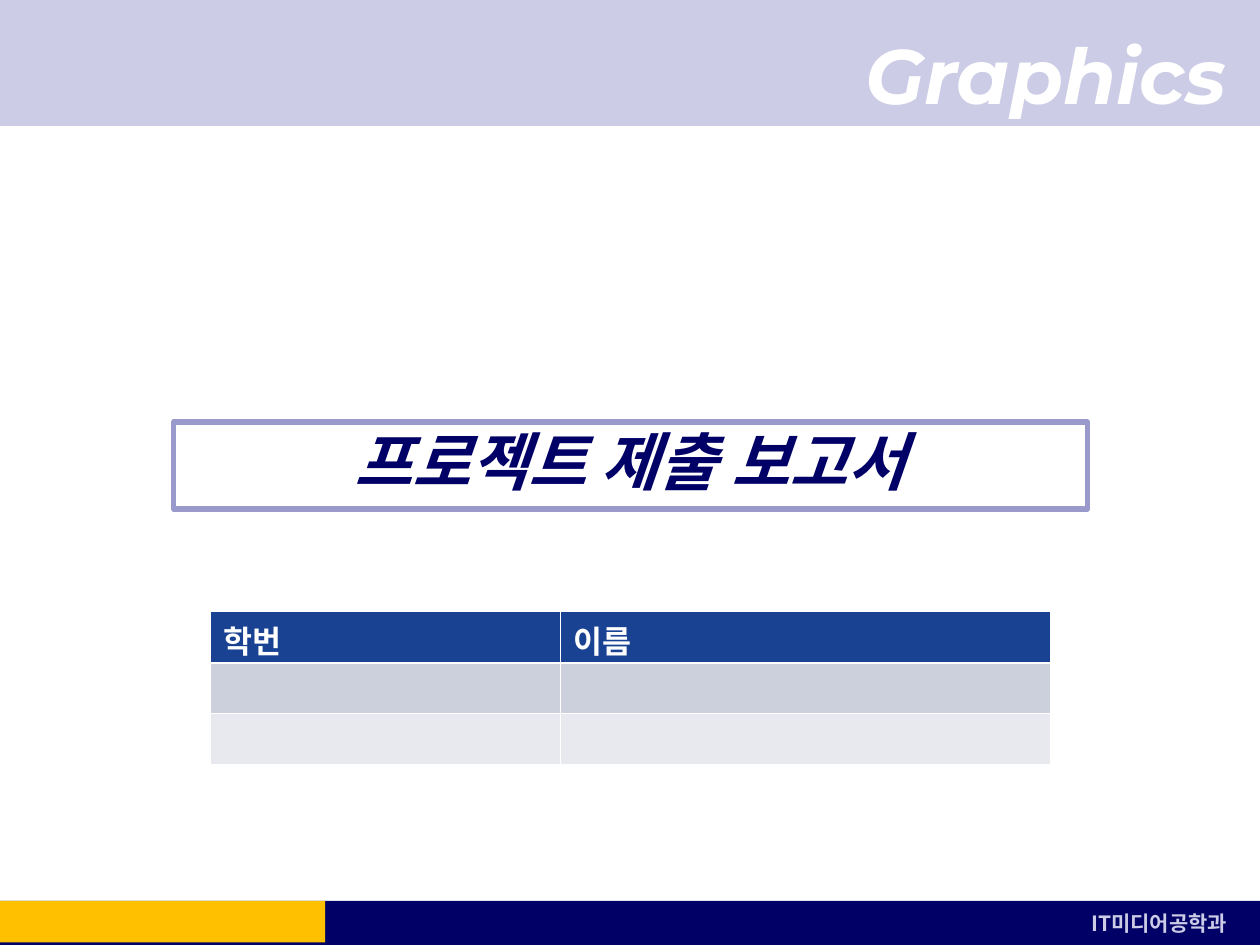
from dataclasses import dataclass
from typing import Optional

import pptx
import pptx.dml.color
import pptx.enum.shapes
import pptx.enum.text
import pptx.oxml
import pptx.oxml.ns
import pptx.util

Pt = pptx.util.Pt
Align = pptx.enum.text.PP_ALIGN
Anchor = pptx.enum.text.MSO_ANCHOR

COLORS = {
    "navy": "000066",
    "lavender": "CCCCE6",
    "violet": "9999CC",
    "amber": "FFC000",
    "white": "FFFFFF",
    "header": "194293",
    "band_dark": "CCCFDC",
    "band_light": "E7E9EE",
}
KOREAN_FONT = "Noto Sans CJK KR"
THIN, THICK = 0.45, 1.47


@dataclass
class Box:
    left: float
    top: float
    width: float
    height: float

    def lengths(self) -> tuple:
        return Pt(self.left), Pt(self.top), Pt(self.width), Pt(self.height)


@dataclass
class Bar:
    box: Box
    fill: Optional[str] = None
    line: Optional[str] = None


@dataclass
class Style:
    size: float
    color: str
    font: str = KOREAN_FONT
    italic: bool = False
    align: Align = Align.LEFT
    space_before: float = 0


@dataclass
class Label:
    box: Box
    text: str
    style: Style
    anchor: Anchor = Anchor.TOP


@dataclass
class Row:
    height: float
    fill: str
    top_line: float
    bottom_line: float
    texts: tuple = ("", "")


BARS = [
    Bar(Box(99.36, 241.2, 522, 49.68), line="violet"),
    Bar(Box(0, 0, 720, 72), fill="lavender"),
    Bar(Box(0, 514.8, 720, 25.2), fill="navy"),
    Bar(Box(0, 514.8, 185.76, 23.76), fill="amber"),
]
LABELS = [
    Label(Box(144, 12.24, 563.76, 72), "Graphics",
          Style(44, "white", "Montserrat", True, Align.RIGHT, 11)),
    Label(Box(605.52, 516.96, 113.76, 23.76), "IT미디어공학과",
          Style(12, "lavender", align=Align.CENTER, space_before=3)),
    Label(Box(126, 211.68, 468, 102.24), "프로젝트 제출 보고서",
          Style(36, "navy", italic=True, align=Align.CENTER), Anchor.MIDDLE),
]
TABLE_BOX = Box(120.24, 349.2, 480.24, 87.84)
COLUMN_WIDTHS = (200.16, 280.08)
ROWS = [
    Row(29.52, "header", THIN, THICK, ("학번", "이름")),
    Row(28.8, "band_dark", THICK, THIN),
    Row(29.52, "band_light", THIN, THIN),
]
HEADER_STYLE = Style(18, "white", "Arial")


def rgb(name: str) -> pptx.dml.color.RGBColor:
    return pptx.dml.color.RGBColor.from_string(COLORS[name])


def write_text(frame, text: str, style: Style) -> None:
    para = frame.paragraphs[0]
    para.text = text
    para.alignment = style.align
    para.space_before = Pt(style.space_before)
    font = para.font
    font.size, font.name = Pt(style.size), style.font
    font.bold, font.italic = True, style.italic
    font.color.rgb = rgb(style.color)
    # Hangul takes its typeface from the East Asian font slot.
    properties = para._p.pPr.find(pptx.oxml.ns.qn("a:defRPr"))
    properties.append(pptx.oxml.parse_xml(
        f'<a:ea {pptx.oxml.ns.nsdecls("a")} typeface="{KOREAN_FONT}"/>'))


def draw_bar(slide, bar: Bar) -> None:
    shape = slide.shapes.add_shape(
        pptx.enum.shapes.MSO_SHAPE.RECTANGLE, *bar.box.lengths())
    shape.shadow.inherit = False
    if bar.fill:
        shape.fill.solid()
        shape.fill.fore_color.rgb = rgb(bar.fill)
    else:
        shape.fill.background()
    if bar.line:
        shape.line.color.rgb = rgb(bar.line)
        shape.line.width = Pt(3)
    else:
        shape.line.fill.background()


def draw_label(slide, label: Label) -> None:
    frame = slide.shapes.add_textbox(*label.box.lengths()).text_frame
    frame.word_wrap = True
    frame.vertical_anchor = label.anchor
    write_text(frame, label.text, label.style)


def set_borders(cell, top: float, bottom: float) -> None:
    """Give the cell white borders, with the sides always thin."""
    properties = cell._tc.get_or_add_tcPr()
    widths = {"lnL": THIN, "lnR": THIN, "lnT": top, "lnB": bottom}
    for index, (tag, width) in enumerate(widths.items()):
        properties.insert(index, pptx.oxml.parse_xml(
            f'<a:{tag} {pptx.oxml.ns.nsdecls("a")} w="{int(Pt(width))}">'
            f'<a:solidFill><a:srgbClr val="{COLORS["white"]}"/></a:solidFill>'
            f'</a:{tag}>'))


def draw_member_table(slide) -> None:
    table = slide.shapes.add_table(
        len(ROWS), len(COLUMN_WIDTHS), *TABLE_BOX.lengths()).table
    for column, width in zip(table.columns, COLUMN_WIDTHS):
        column.width = Pt(width)
    for table_row, row in zip(table.rows, ROWS):
        table_row.height = Pt(row.height)
        for cell, text in zip(table_row.cells, row.texts):
            cell.fill.solid()
            cell.fill.fore_color.rgb = rgb(row.fill)
            set_borders(cell, row.top_line, row.bottom_line)
            if text:
                write_text(cell.text_frame, text, HEADER_STYLE)


def main() -> None:
    deck = pptx.Presentation()
    deck.slide_width, deck.slide_height = Pt(720), Pt(540)
    page = deck.slides.add_slide(deck.slide_layouts[6])
    for bar in BARS:
        draw_bar(page, bar)
    for label in LABELS:
        draw_label(page, label)
    draw_member_table(page)
    deck.save("out.pptx")


if __name__ == "__main__":
    main()
